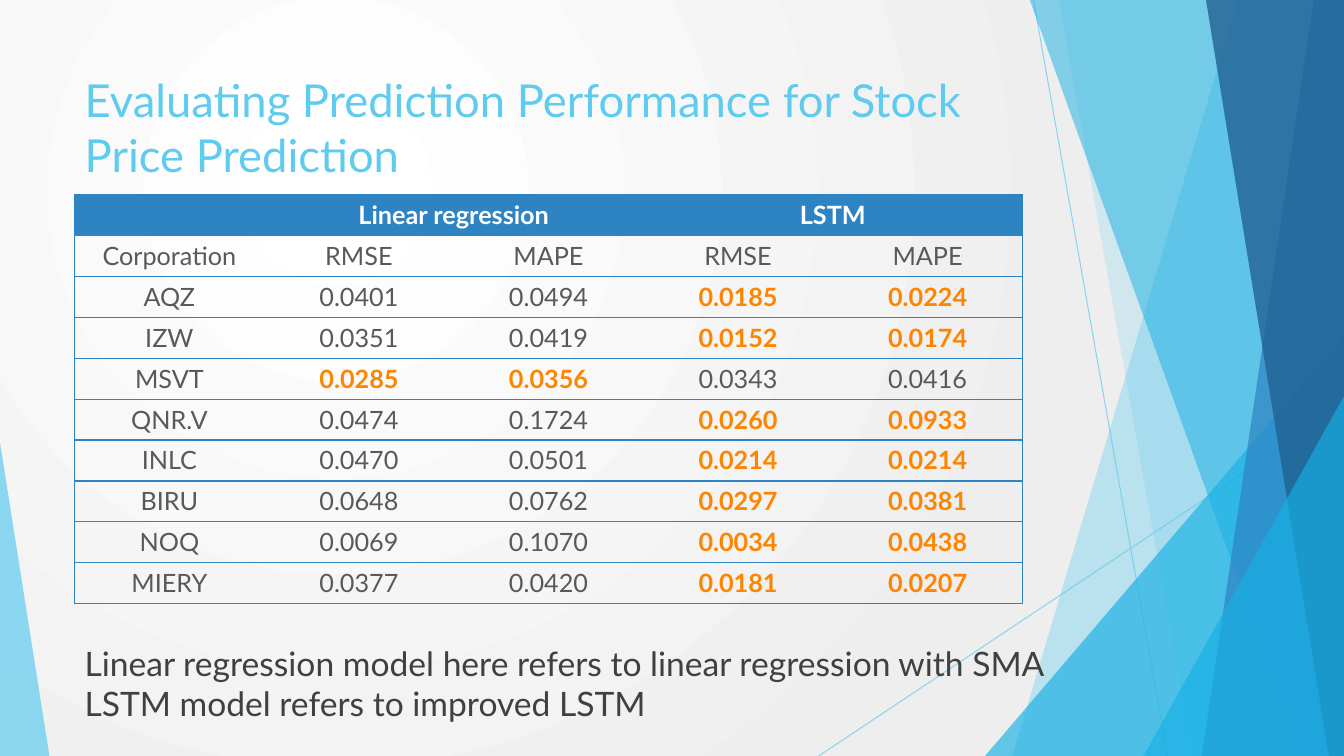
from lxml import etree
from pptx import Presentation
from pptx import util as u
from pptx.dml.color import RGBColor
from pptx.enum import shapes, text
from pptx.oxml.ns import qn

SKY, CYAN, BLUE, NAVY = "5FCBEF", "17B0E4", "2E83C3", "226292"
GREY, ORANGE = "595959", "FF8400"
TOP, BOTTOM, RIGHT = -0.01, 7.5, 13.33


def paint(fill, colour, owner=None, alpha=100):
    """Make a fill solid; an opacity in percent goes to the first colour of its owner."""
    fill.solid()
    fill.fore_color.rgb = RGBColor.from_string(colour)
    if alpha < 100:
        holder = owner.element.find(".//" + qn("a:srgbClr"))
        etree.SubElement(holder, qn("a:alpha"), val=str(alpha * 1000))


def write(frame, *lines, size=18, colour=GREY, bold=False, align=text.PP_ALIGN.LEFT):
    for index, line in enumerate(lines):
        paragraph = frame.add_paragraph() if index else frame.paragraphs[0]
        paragraph.alignment = align
        run = paragraph.add_run()
        run.text = line
        run.font.name = "Lato"
        run.font.size = u.Pt(size)
        run.font.bold = bold
        run.font.color.rgb = RGBColor.from_string(colour)


presentation = Presentation()
presentation.slide_width = u.Inches(RIGHT)
presentation.slide_height = u.Inches(BOTTOM)
slide = presentation.slides.add_slide(presentation.slide_layouts[5])

# Background: radial gradient
background = slide.background.fill
background.gradient()
for stop, colour in zip(background.gradient_stops, ("FFFFFF", "EEEEEE")):
    stop.color.rgb = RGBColor.from_string(colour)
gradient = slide.element.find(".//" + qn("a:gradFill"))
gradient.remove(gradient.find(qn("a:lin")))
radial = etree.SubElement(gradient, qn("a:path"), path="circle")
etree.SubElement(radial, qn("a:fillToRect"), l="50000", t="50000", r="100000", b="100000")

# Facets: thin lines, then bands and triangles from back to front
for ends in ((10.25, 0, 11.58, 7.5), (13.33, 4.03, 8.12, 7.5)):
    line = slide.shapes.add_connector(shapes.MSO_CONNECTOR.STRAIGHT, *map(u.Inches, ends))
    line.line.width = u.Pt(0.75)
    paint(line.line.fill, SKY, line, 70)
    etree.SubElement(line.element.spPr, qn("a:effectLst"))

# A band is (top left x, bottom left x); a triangle is (left, top, width, height, apex)
facets = [
    ((12.28, 10.04), SKY, 36),
    ((10.5, 11.83), SKY, 20),
    ((9.77, 3.33, 3.56, 4.17, 1), CYAN, 66),
    ((10.21, 12.91), CYAN, 50),
    ((13.03, 11.92), BLUE, 70),
    ((11.96, 13.18), NAVY, 80),
    ((11.34, 3.93, 1.99, 3.57, 1), CYAN, 66),
    ((0, 4.39, 0.49, 3.11, 0), SKY, 70),
]
for outline, colour, alpha in facets:
    if len(outline) == 2:
        top_left, bottom_left = outline
        builder = slide.shapes.build_freeform(u.Inches(top_left), u.Inches(TOP))
        corners = ((RIGHT, TOP), (RIGHT, BOTTOM), (bottom_left, BOTTOM))
        builder.add_line_segments([(u.Inches(x), u.Inches(y)) for x, y in corners])
        facet = builder.convert_to_shape()
    else:
        *box, apex = outline
        facet = slide.shapes.add_shape(shapes.MSO_SHAPE.ISOSCELES_TRIANGLE, *map(u.Inches, box))
        facet.adjustments[0] = apex
    facet.shadow.inherit = False
    facet.line.fill.background()
    paint(facet.fill, colour, facet, alpha)

# Title, in front of the facets
title = slide.shapes.title
slide.shapes.element.append(title.element)
title.left, title.top, title.width, title.height = map(u.Inches, (0.74, 0.67, 9.4, 1.44))
title.text_frame.word_wrap = True
title.text_frame.auto_size = text.MSO_AUTO_SIZE.NONE
title.text_frame.vertical_anchor = text.MSO_ANCHOR.TOP
write(title.text_frame, "Evaluating Prediction Performance for Stock Price Prediction",
      size=32.4, colour=SKY)

# Results table: the better model of each row is highlighted
rows = [
    ("", "Linear regression", "", "LSTM", ""),
    ("Corporation", "RMSE", "MAPE", "RMSE", "MAPE"),
    ("AQZ", "0.0401", "0.0494", "0.0185", "0.0224"),
    ("IZW", "0.0351", "0.0419", "0.0152", "0.0174"),
    ("MSVT", "0.0285", "0.0356", "0.0343", "0.0416"),
    ("QNR.V", "0.0474", "0.1724", "0.0260", "0.0933"),
    ("INLC", "0.0470", "0.0501", "0.0214", "0.0214"),
    ("BIRU", "0.0648", "0.0762", "0.0297", "0.0381"),
    ("NOQ", "0.0069", "0.1070", "0.0034", "0.0438"),
    ("MIERY", "0.0377", "0.0420", "0.0181", "0.0207"),
]
NO_STYLE = "{2D5ABB26-0587-4C30-8999-92F81FD0307C}"
row_count, column_count = len(rows), len(rows[0])
results = slide.shapes.add_table(row_count, column_count, u.Inches(0.74), u.Inches(1.93),
                                 u.Inches(9.4), u.Inches(4.06))
results.element.find(".//" + qn("a:tableStyleId")).text = NO_STYLE
table = results.table
table.horz_banding = False
for column in (1, 3):
    table.cell(0, column).merge(table.cell(0, column + 1))

cell_elements = list(results.element.iter(qn("a:tc")))
for row, values in enumerate(rows):
    header = row == 0
    better = ()
    if row > 1:
        better = (1, 2) if float(values[1]) < float(values[3]) else (3, 4)
    for column, value in enumerate(values):
        cell = table.cell(row, column)
        if header:
            paint(cell.fill, BLUE)
        else:
            cell.fill.background()
        if value:
            colour = "FFFFFF" if header else ORANGE if column in better else GREY
            write(cell.text_frame, value, colour=colour, bold=header or column in better,
                  align=text.PP_ALIGN.CENTER)
        last = column == column_count - 1 or (header and column == 3)
        sides = ["lnL"] * (column == 0) + ["lnR"] * last + ["lnT", "lnB"]
        properties = cell_elements[row * column_count + column].find(qn("a:tcPr"))
        for index, side in enumerate(sides):
            border = etree.Element(qn("a:" + side), w=str(u.Pt(1)))
            solid = etree.SubElement(border, qn("a:solidFill"))
            etree.SubElement(solid, qn("a:srgbClr"), val=BLUE)
            properties.insert(index, border)

# Note on the two models
note = slide.shapes.add_textbox(*map(u.Inches, (0.74, 6.33, 10.68, 0.91))).text_frame
note.word_wrap = True
write(note, "Linear regression model here refers to linear regression with SMA",
      "LSTM model refers to improved LSTM", size=24, colour="404040")

presentation.save("out.pptx")
